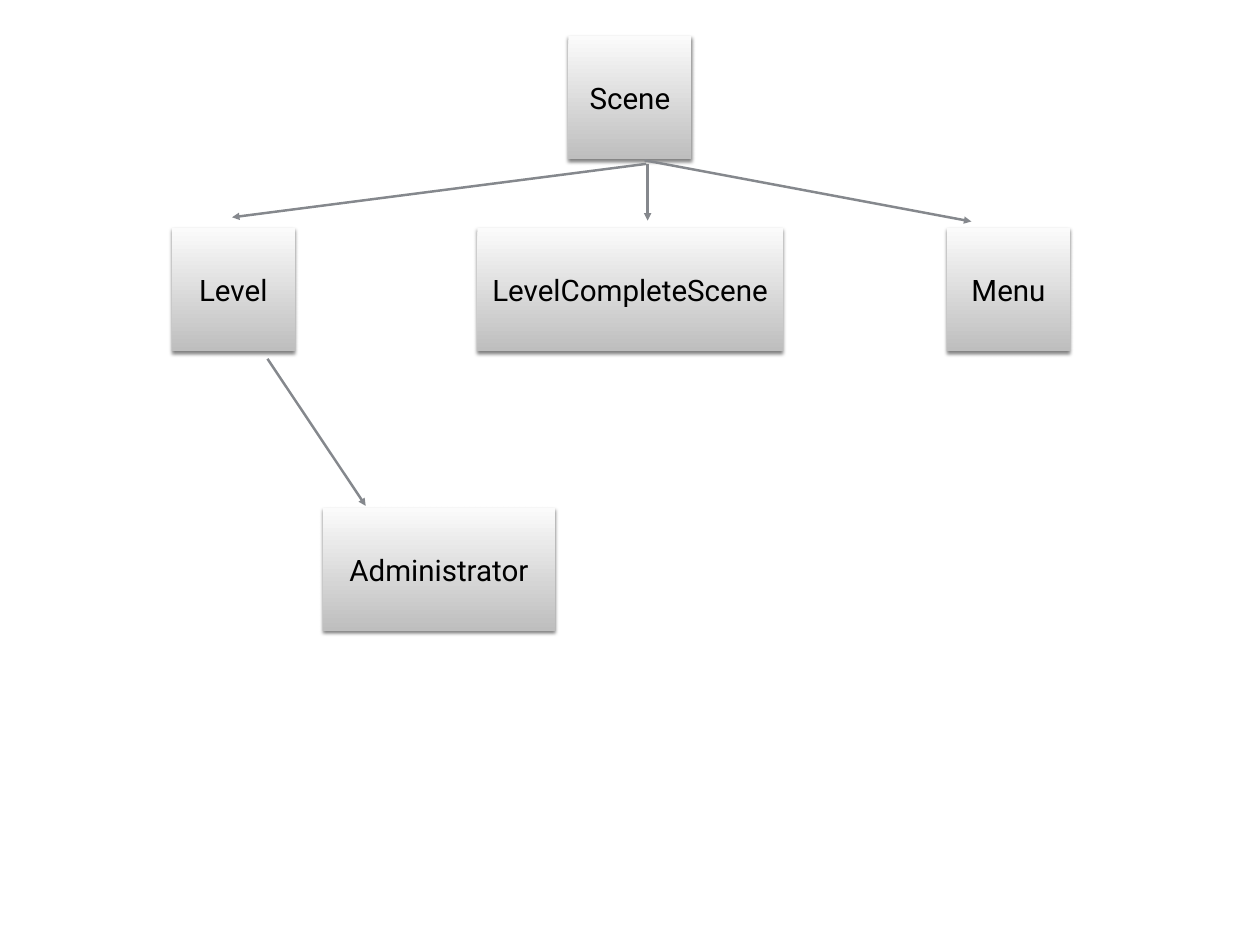
from lxml.etree import SubElement
from pptx import Presentation
from pptx.dml.color import RGBColor
from pptx.enum.shapes import MSO_CONNECTOR as CONNECTOR, MSO_SHAPE as SHAPE
from pptx.enum.text import MSO_ANCHOR as ANCHOR, PP_ALIGN as ALIGN
from pptx.oxml.ns import qn
from pptx.util import Pt

BOX_HEIGHT = 100
BOXES = [
    ("Scene", 461.9, 29.3, 100),
    ("Level", 139.6, 185.5, 100),
    ("LevelCompleteScene", 387.9, 185.5, 248.4),
    ("Menu", 769.6, 185.5, 100),
    ("Administrator", 262.4, 412.6, 188.6),
]
ARROWS = [
    ((523.8, 130.3), (789.4, 180)),
    ((217.4, 291.6), (297.2, 411.1)),
    ((526.3, 133.2), (526.3, 179.3)),
    ((525.2, 133.2), (188.6, 176.6)),
]


def color(value):
    """Return the RGB colour for a hex string."""
    return RGBColor.from_string(value)


def add_shadow(s):
    """Give a shape a soft shadow that falls straight down."""
    s.shadow.inherit = False
    effects = s._element.spPr.find(qn("a:effectLst"))
    shadow = SubElement(effects, qn("a:outerShdw"), blurRad=str(Pt(3)),
                        dist=str(Pt(2)), dir="5400000", rotWithShape="0")
    black = SubElement(shadow, qn("a:srgbClr"), val="000000")
    SubElement(black, qn("a:alpha"), val="50000")


def add_box(slide, label, left, top, width):
    """Add a class box with a grey gradient and its label in the middle."""
    s = slide.shapes.add_shape(SHAPE.RECTANGLE, Pt(left), Pt(top),
                               Pt(width), Pt(BOX_HEIGHT))
    s.fill.gradient()
    s.fill.gradient_angle = 270
    for stop, position, value in zip(s.fill.gradient_stops, (0, 1),
                                     ("FBFBFB", "BEBEBE")):
        stop.position = position
        stop.color.rgb = color(value)
    s.line.fill.background()
    add_shadow(s)
    tf = s.text_frame
    tf.word_wrap = True
    tf.vertical_anchor = ANCHOR.MIDDLE
    tf.margin_left = tf.margin_right = tf.margin_top = tf.margin_bottom = Pt(4)
    p = tf.paragraphs[0]
    p.text = label
    p.alignment = ALIGN.CENTER
    p.font.name = "Roboto"
    p.font.size = Pt(24)
    p.font.color.rgb = color("000000")


def add_arrow(slide, start, end):
    """Add a straight grey arrow between two points."""
    s = slide.shapes.add_connector(CONNECTOR.STRAIGHT, *map(Pt, start + end))
    s.line.width = Pt(2)
    s.line.color.rgb = color("85888D")
    SubElement(s.line._get_or_add_ln(), qn("a:tailEnd"), type="triangle")
    SubElement(s._element.spPr, qn("a:effectLst"))


def main():
    """Build the scene class diagram and save it."""
    prs = Presentation()
    prs.slide_width, prs.slide_height = Pt(1024), Pt(768)
    slide = prs.slides.add_slide(prs.slide_layouts[6])
    for box in BOXES:
        add_box(slide, *box)
    for start, end in ARROWS:
        add_arrow(slide, start, end)
    prs.save("out.pptx")


if __name__ == "__main__":
    main()
